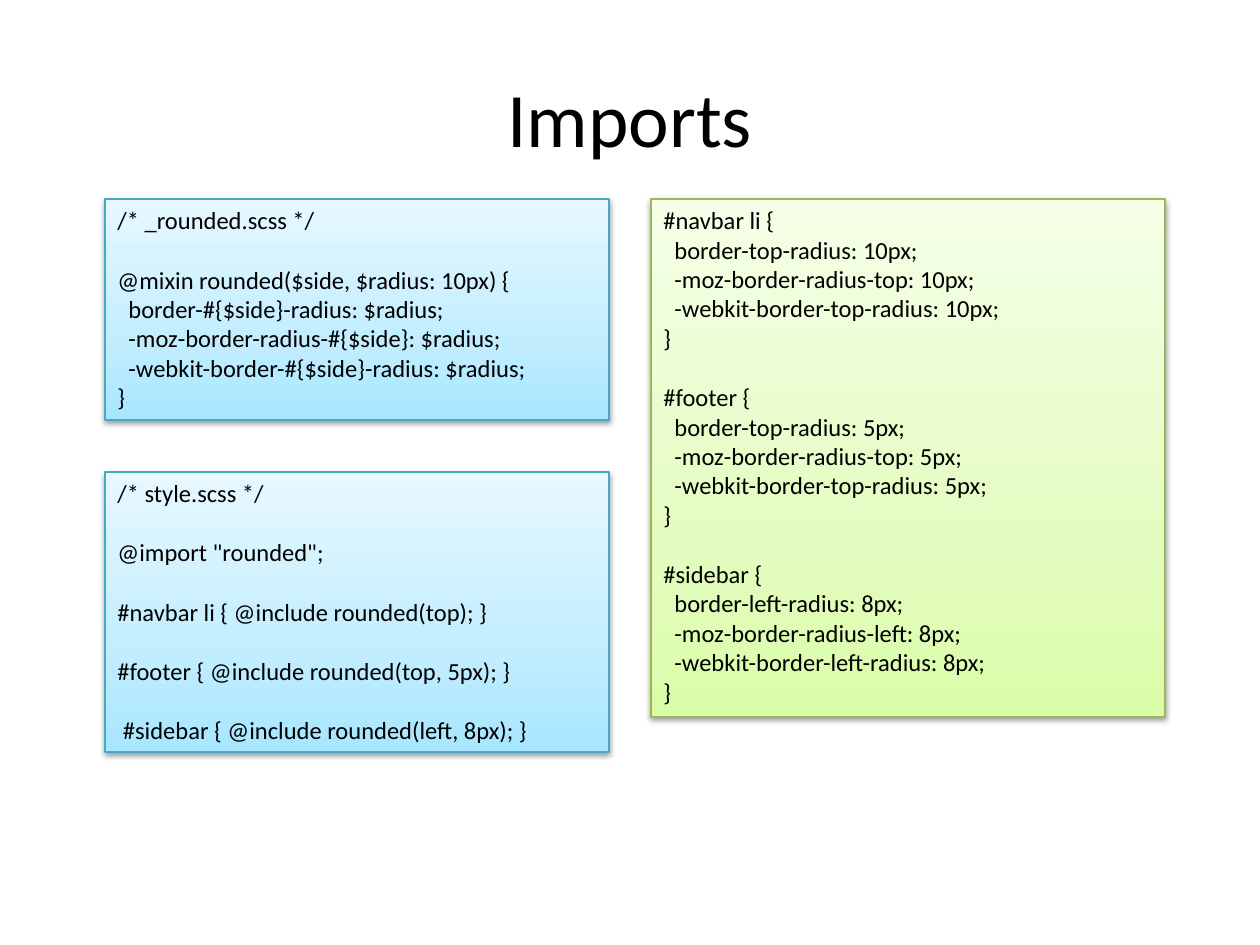
from lxml.etree import SubElement
from pptx import Presentation
from pptx.dml.color import RGBColor
from pptx.enum.shapes import MSO_SHAPE
from pptx.enum.text import MSO_ANCHOR, PP_ALIGN
from pptx.oxml.ns import qn
from pptx.util import Emu, Pt

TITLE = "Imports"
ROUNDED = """
/* _rounded.scss */

@mixin rounded($side, $radius: 10px) {
  border-#{$side}-radius: $radius;
  -moz-border-radius-#{$side}: $radius;
  -webkit-border-#{$side}-radius: $radius;
}
"""
STYLE = """
/* style.scss */

@import "rounded";

#navbar li { @include rounded(top); }

#footer { @include rounded(top, 5px); }

 #sidebar { @include rounded(left, 8px); }
"""
COMPILED = """
#navbar li {
  border-top-radius: 10px;
  -moz-border-radius-top: 10px;
  -webkit-border-top-radius: 10px;
}

#footer {
  border-top-radius: 5px;
  -moz-border-radius-top: 5px;
  -webkit-border-top-radius: 5px;
}

#sidebar {
  border-left-radius: 8px;
  -moz-border-radius-left: 8px;
  -webkit-border-left-radius: 8px;
}
"""
COLORS = {"text": "000000", "shadow": "000000",
          "blue line": "46AAC5", "green line": "98B955"}
GRADIENTS = {"blue": ((0, "A7E6FF"), (35, "C1EDFF"), (100, "E7F8FF")),
             "green": ((0, "DAFDA7"), (35, "E4FCC2"), (100, "F5FFE7"))}
TITLE_BOX = (63, 38, 1134, 157)
# code, colour, (left, top, width, height)
PANELS = [
    (ROUNDED, "blue", (105, 199, 504, 221)),
    (COMPILED, "green", (651, 199, 514, 518)),
    (STYLE, "blue", (105, 472, 504, 280)),
]
FONT = "Calibri"
CODE_SIZE = 14
LINE_HEIGHT = 1.22 * CODE_SIZE
SPACE_WIDTH = 0.226 * CODE_SIZE


def px(n):
    return Emu(round(n * 914400 / 126))


def add_text(p, text, size):
    r = p.add_run()
    r.text = text
    for name, value in {"name": FONT, "size": Pt(size)}.items():
        setattr(r.font, name, value)
    r.font.color.rgb = RGBColor.from_string(COLORS["text"])


def add_color(parent, color):
    return SubElement(parent, qn("a:srgbClr"), val=color)


def add_gradient(s, stops):
    """Fill with any number of stops, running from bottom to top."""
    grad = SubElement(s._element.spPr, qn("a:gradFill"), rotWithShape="1")
    gs_list = SubElement(grad, qn("a:gsLst"))
    for percent, color in stops:
        add_color(SubElement(gs_list, qn("a:gs"), pos=str(percent * 1000)), color)
    SubElement(grad, qn("a:lin"), ang="16200000", scaled="0")


def add_shadow(s):
    s.shadow.inherit = False
    effects = s._element.spPr.find(qn("a:effectLst"))
    shadow = SubElement(effects, qn("a:outerShdw"), blurRad="40000",
                        dist="20000", dir="5400000", rotWithShape="0")
    SubElement(add_color(shadow, COLORS["shadow"]), qn("a:alpha"), val="38000")


def write_code(tf, code):
    """One paragraph a line; empty lines and leading spaces become spacing."""
    p, gap = tf.paragraphs[0], 0
    for i, line in enumerate(code.strip("\n").split("\n")):
        if not line:
            gap += LINE_HEIGHT
            continue
        if i:
            p = tf.add_paragraph()
        text = line.lstrip()
        indent = Pt((len(line) - len(text)) * SPACE_WIDTH)
        p.alignment = PP_ALIGN.LEFT
        p.space_before = Pt(gap)
        p._p.get_or_add_pPr().set("marL", str(indent))
        add_text(p, text, CODE_SIZE)
        gap = 0


def add_panel(slide, code, color, box):
    s = slide.shapes.add_shape(MSO_SHAPE.RECTANGLE, *map(px, box))
    add_gradient(s, GRADIENTS[color])
    s.line.color.rgb = RGBColor.from_string(COLORS[color + " line"])
    s.line.width = Pt(0.75)
    add_shadow(s)
    tf = s.text_frame
    tf.word_wrap = True
    tf.vertical_anchor = MSO_ANCHOR.TOP
    write_code(tf, code)


def main():
    prs = Presentation()
    prs.slide_width, prs.slide_height = px(1260), px(945)
    slide = prs.slides.add_slide(prs.slide_layouts[6])

    tf = slide.shapes.add_textbox(*map(px, TITLE_BOX)).text_frame
    tf.word_wrap = True
    tf.vertical_anchor = MSO_ANCHOR.MIDDLE
    p = tf.paragraphs[0]
    p.alignment = PP_ALIGN.CENTER
    add_text(p, TITLE, 44)

    for code, color, box in PANELS:
        add_panel(slide, code, color, box)
    prs.save("out.pptx")


if __name__ == "__main__":
    main()
